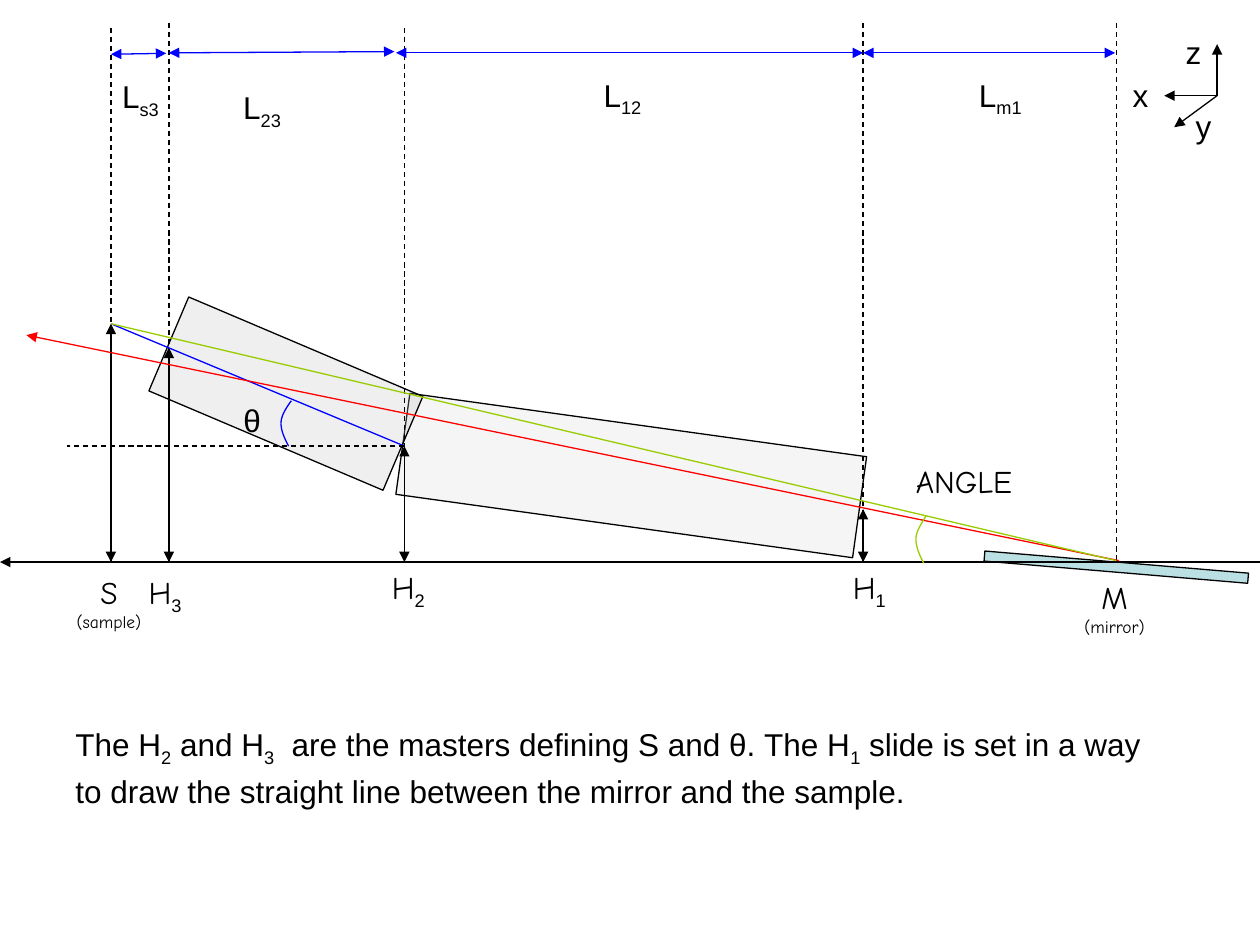
"""Draw the mirror, slit and sample alignment diagram on one slide."""
from dataclasses import dataclass

import lxml.etree
import pptx
import pptx.dml.color
import pptx.enum.dml
import pptx.enum.shapes
import pptx.enum.text
import pptx.oxml.ns
import pptx.shapes.base
import pptx.slide
import pptx.util

BLACK, BLUE, RED, GREEN = "000000", "0000FF", "FF0000", "99CC00"
SANS, HAND = "Arial", "Comic Neue"
SAMPLE_X, H3_X, H2_X, H1_X, MIRROR_X = 63.4, 96.5, 231.1, 493.2, 637.9
AXIS_Y = 321.2
SAMPLE_Y, H3_Y, H2_Y, H1_Y = 185, 198.7, 254.9, 290.9
DIMENSION_Y = 30.2
ORIGIN_X, ORIGIN_Y = 695.5, 54.7

Point = tuple[float, float]


@dataclass
class Run:
    text: str
    font: str = SANS
    size: float = 18
    subscript: bool = False


@dataclass
class Label:
    left: float
    top: float
    width: float
    height: float
    lines: list[list[Run]]
    centered: bool = False
    inset_x: float = 0
    inset_y: float = 0
    spacing: float = 1


@dataclass
class Line:
    start: Point
    end: Point
    color: str = BLACK
    start_arrow: bool = False
    end_arrow: bool = False
    dashed: bool = False


@dataclass
class Block:
    left: float
    top: float
    width: float
    height: float
    rotation: float
    fill: str
    opacity: int = 100


@dataclass
class Arc:
    points: tuple[Point, ...]
    color: str


def rgb(value: str) -> pptx.dml.color.RGBColor:
    """Turn a hex string into a colour."""
    return pptx.dml.color.RGBColor.from_string(value)


def outline(shape: pptx.shapes.base.BaseShape, color: str) -> None:
    """Give a shape or connector a thin line."""
    shape.line.color.rgb = rgb(color)
    shape.line.width = pptx.util.Pt(0.75)


def draw_line(slide: pptx.slide.Slide, line: Line) -> None:
    """Draw a straight line with its dash and arrowheads."""
    connector = slide.shapes.add_connector(
        pptx.enum.shapes.MSO_CONNECTOR.STRAIGHT,
        *(pptx.util.Pt(value) for value in (*line.start, *line.end)))
    outline(connector, line.color)
    if line.dashed:
        connector.line.dash_style = pptx.enum.dml.MSO_LINE.DASH
    properties = connector.element.spPr
    stroke = properties.find(pptx.oxml.ns.qn("a:ln"))
    for tag, wanted in (("a:headEnd", line.start_arrow), ("a:tailEnd", line.end_arrow)):
        if wanted:
            lxml.etree.SubElement(stroke, pptx.oxml.ns.qn(tag), type="triangle")
    lxml.etree.SubElement(properties, pptx.oxml.ns.qn("a:effectLst"))


def draw_block(slide: pptx.slide.Slide, block: Block) -> None:
    """Draw a rotated rectangle."""
    bounds = (block.left, block.top, block.width, block.height)
    shape = slide.shapes.add_shape(
        pptx.enum.shapes.MSO_SHAPE.RECTANGLE, *(pptx.util.Pt(value) for value in bounds))
    shape.rotation = block.rotation
    shape.shadow.inherit = False
    shape.fill.solid()
    shape.fill.fore_color.rgb = rgb(block.fill)
    if block.opacity < 100:
        color = shape.element.spPr.find(pptx.oxml.ns.qn("a:solidFill"))[0]
        lxml.etree.SubElement(color, pptx.oxml.ns.qn("a:alpha"), val=str(block.opacity * 1000))
    outline(shape, BLACK)


def bezier(points: tuple[Point, ...], t: float) -> Point:
    """Return the point at t on a Bezier curve."""
    while len(points) > 1:
        points = tuple((a[0] + (b[0] - a[0]) * t, a[1] + (b[1] - a[1]) * t)
                       for a, b in zip(points, points[1:]))
    return points[0]


def draw_arc(slide: pptx.slide.Slide, arc: Arc, steps: int = 24) -> None:
    """Draw an open curve for an angle."""
    vertices = [tuple(pptx.util.Pt(value) for value in bezier(arc.points, step / steps))
                for step in range(steps + 1)]
    builder = slide.shapes.build_freeform(*vertices[0])
    builder.add_line_segments(vertices[1:], close=False)
    shape = builder.convert_to_shape()
    shape.shadow.inherit = False
    shape.fill.background()
    outline(shape, arc.color)


def draw_label(slide: pptx.slide.Slide, label: Label) -> None:
    """Write a label run by run."""
    bounds = (label.left, label.top, label.width, label.height)
    frame = slide.shapes.add_textbox(*(pptx.util.Pt(value) for value in bounds)).text_frame
    frame.word_wrap = True
    frame.auto_size = pptx.enum.text.MSO_AUTO_SIZE.SHAPE_TO_FIT_TEXT
    frame.margin_left = frame.margin_right = pptx.util.Pt(label.inset_x)
    frame.margin_top = frame.margin_bottom = pptx.util.Pt(label.inset_y)
    paragraph = frame.paragraphs[0]
    paragraph.line_spacing = label.spacing
    if label.centered:
        paragraph.alignment = pptx.enum.text.PP_ALIGN.CENTER
    for index, line in enumerate(label.lines):
        if index:
            paragraph.add_line_break()
        for part in line:
            run = paragraph.add_run()
            run.text = part.text
            run.font.name = part.font
            run.font.size = pptx.util.Pt(part.size)
            run.font.color.rgb = rgb(BLACK)
            if part.subscript:
                run.font.element.set("baseline", "-25000") if hasattr(
                    run.font, "element") else run._r.get_or_add_rPr().set("baseline", "-25000")


def indexed(left: float, top: float, letter: str, index: str, font: str = SANS) -> Label:
    """Make a letter with a subscript."""
    return Label(left, top, 33, 24.5, [[Run(letter, font), Run(index, subscript=True)]])


def station(left: float, top: float, letter: str, name: str) -> Label:
    """Make a centred letter with its name below."""
    return Label(left, top, 45.4, 33.8, [[Run(letter, HAND)], [Run(name, HAND, 10)]], True)


def word(left: float, top: float, width: float, text: str, font: str = SANS) -> Label:
    """Make a plain one-line label."""
    return Label(left, top, width, 21.6, [[Run(text, font)]])


def main() -> None:
    """Build and save the slide."""
    presentation = pptx.Presentation()
    presentation.slide_width, presentation.slide_height = pptx.util.Pt(720), pptx.util.Pt(540)
    slide = presentation.slides.add_slide(presentation.slide_layouts[6])

    for block in (Block(229, 242.6, 263.5, 58.3, 7.9, "C0C0C0", 15),
                  Block(90.7, 195.8, 145.4, 58.3, 23, "C0C0C0", 25),
                  Block(562.3, 321.2, 151.2, 5.8, 4.8, "BBE0E3")):
        draw_block(slide, block)

    guides = [Line((x, top), (x, AXIS_Y), dashed=True) for x, top in (
        (H1_X, 13), (MIRROR_X, 13), (H2_X, 15.8), (SAMPLE_X, 15.8), (H3_X, 13))]
    heights = [Line((x, y), (x, AXIS_Y), BLACK, True, True) for x, y in (
        (H1_X, H1_Y), (H2_X, H2_Y), (H3_X, H3_Y), (SAMPLE_X, SAMPLE_Y))]
    dimensions = [Line(start, end, BLUE, True, True) for start, end in (
        ((H1_X, DIMENSION_Y), (637.2, DIMENSION_Y)), ((H1_X, DIMENSION_Y), (226.3, DIMENSION_Y)),
        ((225.4, 29.5), (H3_X, DIMENSION_Y)), ((95, 30.5), (SAMPLE_X, 31)))]
    axes = [Line((ORIGIN_X, ORIGIN_Y), end, end_arrow=True) for end in (
        (ORIGIN_X, 25.2), (665.3, ORIGIN_Y), (671, 72.7))]
    rays = [Line((720, AXIS_Y), (0, AXIS_Y), end_arrow=True),
            Line((H2_X, H2_Y), (SAMPLE_X, SAMPLE_Y), BLUE),
            Line((H2_X, H2_Y), (38.2, H2_Y), dashed=True),
            Line((639.4, 320.4), (15.1, 191.5), RED, end_arrow=True),
            Line((SAMPLE_X, SAMPLE_Y), (MIRROR_X, 320.4), GREEN)]
    for line in guides + dimensions + heights + axes + rays:
        draw_line(slide, line)

    for first, second, color in (
            (((166.5, 229), (163.4, 233.3), (160.6, 237.6), (160.6, 241.9)),
             ((160.6, 241.9), (160.6, 246.2), (162.7, 250.6), (164.9, 254.9)), BLUE),
            (((529.2, 294.8), (526.3, 299.5), (523.4, 303.8), (523.4, 308.2)),
             ((523.4, 308.2), (523.4, 312.5), (525.6, 317.5), (527.8, 321.8)), GREEN)):
        draw_arc(slide, Arc(first, color))
        draw_arc(slide, Arc(second, color))

    caption = [Run("The H"), Run("2", subscript=True), Run(" and H"), Run("3", subscript=True),
               Run("  are the masters defining S and θ. The H"), Run("1", subscript=True),
               Run(" slide is set in a way to draw the straight line between "
                   "the mirror and the sample.")]
    for label in (
            indexed(487.4, 324.7, "H", "1", HAND), indexed(223.9, 324.7, "H", "2", HAND),
            indexed(85, 327.6, "H", "3", HAND), indexed(559.4, 43.2, "L", "m1"),
            indexed(344.9, 43.2, "L", "12"), indexed(139, 50.4, "L", "23"),
            indexed(69.8, 43.9, "L", "s3"), station(614.2, 330.5, "M", "(mirror)"),
            station(39.6, 327.6, "S", "(sample)"), word(647.3, 43.2, 12.2, "x"),
            word(683.3, 61.2, 12.2, "y"), word(677.5, 18.7, 12.2, "z"),
            word(139, 229, 15.1, "θ"), word(523.4, 264.2, 78.5, "ANGLE", HAND),
            Label(36, 408.2, 626.4, 58.3, [caption], False, 7.2, 3.6, 1.1)):
        draw_label(slide, label)

    presentation.save("out.pptx")


if __name__ == "__main__":
    main()
